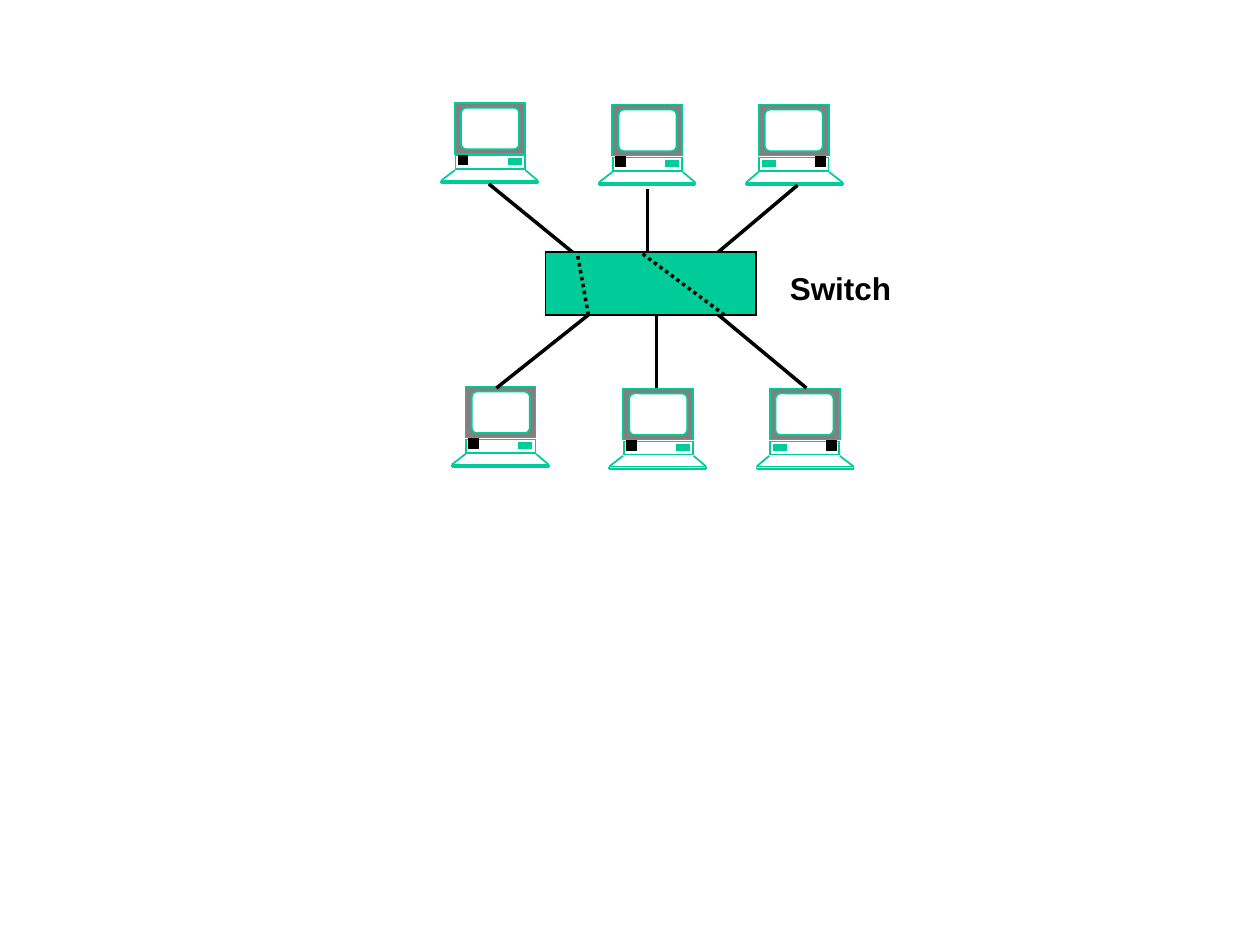
from dataclasses import dataclass

from lxml import etree
from pptx import Presentation, util as u
from pptx.dml.color import RGBColor
from pptx.enum import dml, shapes
from pptx.oxml.ns import qn


@dataclass(frozen=True)
class Theme:
    green: str = "00CC99"
    gray: str = "808080"
    white: str = "FFFFFF"
    black: str = "000000"
    font: str = "Arial"
    size: int = 18
    thin: float = 1
    edge: float = 0.75
    cable: float = 2
    thick: float = 4


class Board:
    """Draws on one slide, on a grid of 100 columns by 75 rows."""

    def __init__(self, deck, theme):
        self.theme = theme
        self.slide = deck.slides.add_slide(deck.slide_layouts[6])
        self.col = deck.slide_width / 100
        self.row = deck.slide_height / 75

    def scale(self, x, y):
        return u.Emu(round(x * self.col)), u.Emu(round(y * self.row))

    def box(self, x, y, w, h, fill, line, width, radius=None, home=None):
        kind = shapes.MSO_SHAPE
        form = kind.RECTANGLE if radius is None else kind.ROUNDED_RECTANGLE
        item = (home or self.slide).shapes.add_shape(
            form, *self.scale(x, y), *self.scale(w, h))
        item.shadow.inherit = False
        if radius is not None:
            item.adjustments[0] = radius
        if fill:
            item.fill.solid()
            item.fill.fore_color.rgb = RGBColor.from_string(fill)
        else:
            item.fill.background()
        item.line.color.rgb = RGBColor.from_string(line)
        item.line.width = u.Pt(width)
        edge = item._element.spPr.find(qn("a:ln"))
        etree.SubElement(edge, qn("a:miter"), lim="800000")

    def line(self, start, end, color, width, dotted=False, home=None):
        item = (home or self.slide).shapes.add_connector(
            shapes.MSO_CONNECTOR.STRAIGHT, *self.scale(*start), *self.scale(*end))
        item.line.color.rgb = RGBColor.from_string(color)
        item.line.width = u.Pt(width)
        if dotted:
            item.line.dash_style = dml.MSO_LINE.ROUND_DOT
        etree.SubElement(item._element.spPr, qn("a:effectLst"))

    def cable(self, start, end, dotted=False):
        self.line(start, end, self.theme.black, self.theme.cable, dotted)

    def label(self, x, y, w, h, words):
        frame = self.slide.shapes.add_textbox(
            *self.scale(x, y), *self.scale(w, h)).text_frame
        frame.word_wrap = True
        frame.text = words
        font = frame.paragraphs[0].runs[0].font
        font.name, font.size, font.bold = self.theme.font, u.Pt(self.theme.size), True
        font.color.rgb = RGBColor.from_string(self.theme.black)

    def computer(self, left, top, mirror=False):
        """Draws a grouped computer, with its front flipped if mirrored."""
        t = self.theme
        span = 7.7
        group = self.slide.shapes.add_group_shape()

        def part(x, y, w, h, fill, line, width, radius=None):
            x = span - x - w if mirror else x
            self.box(left + x, top + y, w, h, fill, line, width, radius, group)

        def stroke(*ends, width=t.thin):
            start, end = [(left + (span - x if mirror else x), top + y)
                          for x, y in ends]
            self.line(start, end, t.green, width, home=group)

        part(1.1, 0, 5.55, 4.05, t.gray, t.green, t.thin)
        part(1.6, 0.4, 4.6, 3.3, t.white, t.green, t.thin, 0.125)
        for y in (6.2, 6.4):
            stroke((0, y), (span, y))
        for edge, inner in ((0, 1.1), (span, 6.7)):
            stroke((inner, 5.35), (edge, 6.2))
            stroke((edge, 6.2), (edge, 6.4))
        part(1.15, 4.2, 5.5, 1.05, None, t.green, t.thin)
        stroke((5.3, 4.7), (6.4, 4.7), width=t.thick)
        part(1.6, 4.4, 0.3, 0.3, t.black, t.black, t.thick)


def main():
    deck = Presentation()
    deck.slide_width, deck.slide_height = u.Inches(10), u.Inches(7.5)
    theme = Theme()
    board = Board(deck, theme)

    def bank(dx, dy, cables):
        """Draws a row of three computers and their cables."""
        for x, y, mirror in ((35, 8.15, False), (47.5, 8.3, False), (59.2, 8.3, True)):
            board.computer(x + dx, y + dy, mirror)
        for start, end in cables:
            board.cable(start, end)

    bank(0, 0, (((63.3, 14.7), (55, 21.7)),
                ((51.4, 15), (51.4, 21.7)),
                ((38.8, 14.6), (47.5, 21.7))))
    board.label(61.7, 20.85, 11, 4, "Switch")
    bank(0.85, 22.53, (((64, 30.8), (55.7, 23.9)),
                       ((52.1, 30.8), (52.1, 24.2)),
                       ((39.4, 30.8), (48.2, 23.8))))

    board.box(43.3, 20, 16.7, 5, theme.green, theme.black, theme.edge)
    for low, high in ((57.5, 50.8), (46.7, 45.8)):
        board.cable((low, 25), (high, 20), dotted=True)

    deck.save("out.pptx")


if __name__ == "__main__":
    main()
